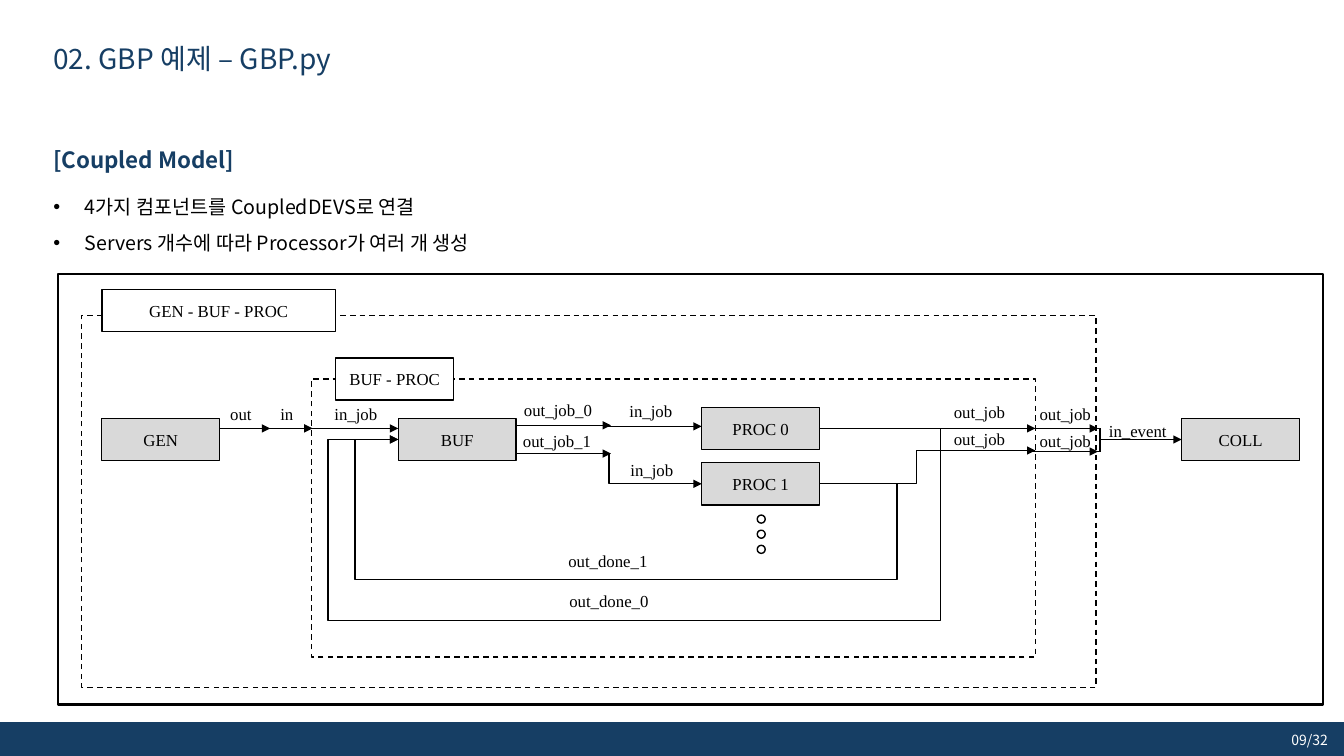
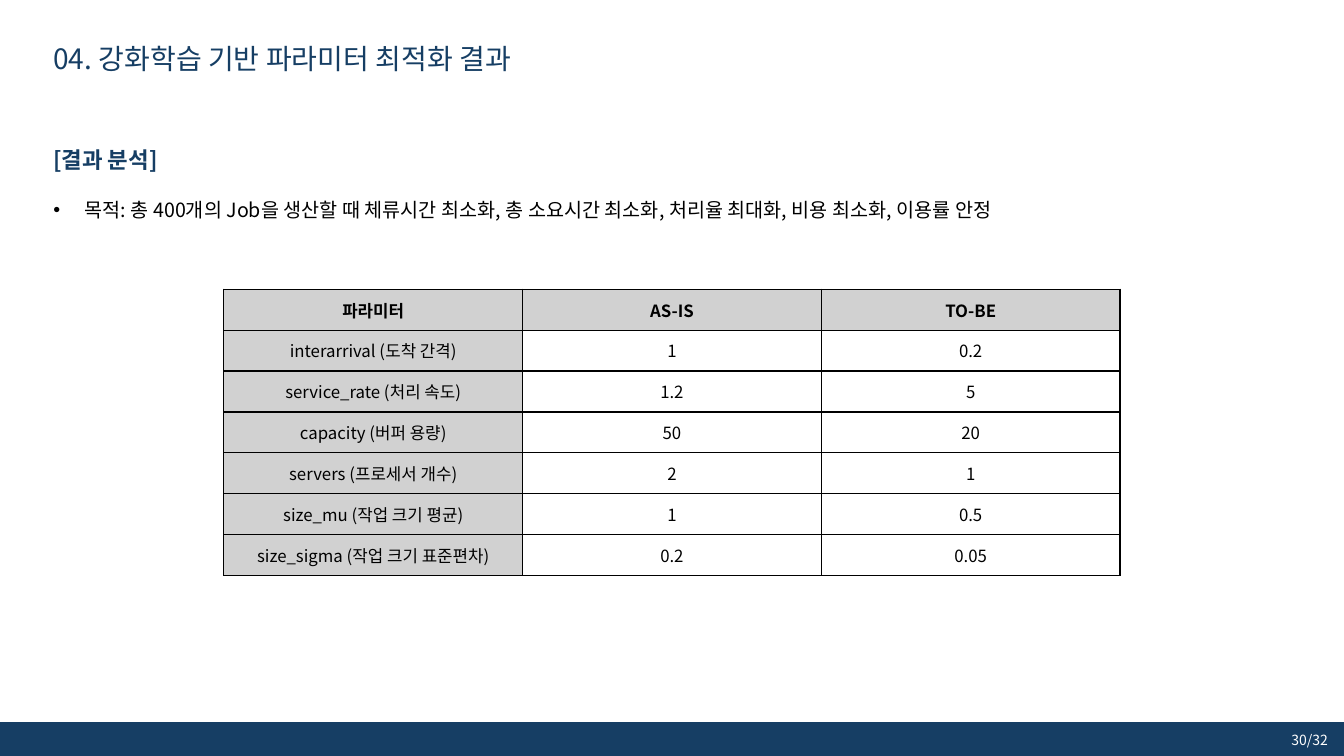
from lxml import etree
from pptx import Presentation
from pptx.dml.color import RGBColor
from pptx.enum.dml import MSO_LINE
from pptx.enum.shapes import MSO_CONNECTOR as Link, MSO_SHAPE as Preset
from pptx.enum.text import MSO_ANCHOR as Anchor, MSO_AUTO_SIZE as AutoSize, PP_ALIGN as Align
from pptx.oxml.ns import qn
from pptx.util import Inches, Pt

COLORS = {"navy": "163E64", "black": "000000", "white": "FFFFFF",
          "node": "D9D9D9", "header": "D1D1D1"}
SANS, SERIF = "Noto Sans CJK KR", "Times New Roman"

# Content: model slide
MODEL = {
    "title": "02. GBP 예제 – GBP.py",
    "heading": "[Coupled Model]",
    "bullets": ["4가지 컴포넌트를 CoupledDEVS로 연결",
                "Servers 개수에 따라 Processor가 여러 개 생성"],
    "bullets_at": (0.43, 1.77, 12.83, 0.77),
    "page": "09/32",
}
NODE_W, NODE_H = 1.17, 0.42
NODES = {"GEN": (1.01, 4.15), "BUF": (3.95, 4.15), "PROC 0": (6.96, 4.04),
         "PROC 1": (6.96, 4.59), "COLL": (11.72, 4.15)}
FRAMES = [  # left, top, width, height, line width, dashed
    (3.09, 3.76, 7.18, 2.76, 1, True),
    (0.81, 3.13, 10.06, 3.69, 1, True),
    (0.58, 2.72, 12.54, 4.27, 1.5, False),
]
FRAME_TAGS = [("BUF - PROC", 3.33, 3.55, NODE_W), ("GEN - BUF - PROC", 1.01, 2.87, 2.32)]
ARROWS = [  # start x, end x, y
    (2.18, 2.68, 4.25), (2.6, 3.1, 4.25), (3.02, 3.95, 4.25),
    (5.12, 6.06, 4.22), (6.03, 6.96, 4.23), (5.12, 6.06, 4.5),
    (10.24, 10.89, 4.25), (10.24, 10.89, 4.48),
]
JOINS = [((10.82, 4.25), (10.91, 4.25)), ((10.82, 4.48), (10.91, 4.48)),
         ((10.91, 4.48), (10.91, 4.25))]
ELBOWS = [  # start, end, then the bends: x or x, y, x
    ((5.12, 4.5), (6.96, 4.8), (6.04,)),
    ((8.13, 4.8), (10.27, 4.47), (9.09,)),
    ((8.13, 4.25), (3.95, 4.36), (9.33, 6.16, 3.25)),
    ((8.13, 4.8), (3.95, 4.36), (8.9, 5.75, 3.52)),
]
PORTS = [  # text, left, top, width
    ("out", 2.18, 3.96, 0.42), ("in", 2.68, 3.96, 0.33), ("in_job", 3.11, 3.96, 0.84),
    ("out_job_0", 5.06, 3.92, 0.95), ("out_job_1", 5.05, 4.22, 0.95),
    ("in_job", 5.98, 3.93, 0.95), ("in_job", 5.99, 4.51, 0.95),
    ("out_done_0", 5.47, 5.81, 1.14), ("out_done_1", 5.46, 5.41, 1.14),
    ("out_job", 9.24, 3.94, 0.95), ("out_job", 9.24, 4.2, 0.95),
    ("out_job", 10.09, 3.96, 0.95), ("out_job", 10.09, 4.22, 0.95),
    ("in_event", 10.81, 4.12, 0.95),
]

# Content: result slide
RESULT = {
    "title": "04. 강화학습 기반 파라미터 최적화 결과",
    "heading": "[결과 분석]",
    "bullets": ["목적: 총 400개의 Job을 생산할 때 체류시간 최소화, 총 소요시간 최소화, "
                "처리율 최대화, 비용 최소화, 이용률 안정"],
    "bullets_at": (0.43, 1.8, 12.83, 0.42),
    "page": "30/32",
}
PARAMETERS = [
    ("파라미터", "AS-IS", "TO-BE"),
    ("interarrival (도착 간격)", "1", "0.2"),
    ("service_rate (처리 속도)", "1.2", "5"),
    ("capacity (버퍼 용량)", "50", "20"),
    ("servers (프로세서 개수)", "2", "1"),
    ("size_mu (작업 크기 평균)", "1", "0.5"),
    ("size_sigma (작업 크기 표준편차)", "0.2", "0.05"),
]


def rgb(name):
    return RGBColor.from_string(COLORS[name])


def inches(values):
    return [Inches(v) for v in values]


def write(paragraph, text, size, color="black", font=SANS, bold=False,
          align=Align.JUSTIFY, spacing=None):
    paragraph.alignment = align
    if spacing:
        paragraph.line_spacing = spacing
    run = paragraph.add_run()
    run.text = text
    run.font.size, run.font.bold, run.font.name = Pt(size), bold, font
    run.font.color.rgb = rgb(color)
    east_asian = etree.SubElement(run.font._element, qn("a:ea"))
    east_asian.set("typeface", font)


def add_text(slide, at, text, size, wrap=True, **style):
    frame = slide.shapes.add_textbox(*inches(at)).text_frame
    frame.word_wrap = wrap
    write(frame.paragraphs[0], text, size, **style)


def place(placeholder, at):
    placeholder.left, placeholder.top, placeholder.width, placeholder.height = inches(at)
    frame = placeholder.text_frame
    frame.auto_size, frame.vertical_anchor, frame.word_wrap = AutoSize.NONE, Anchor.TOP, True
    return frame


def add_box(slide, at, fill=None, line="black", width=1, preset=Preset.RECTANGLE):
    box = slide.shapes.add_shape(preset, *inches(at))
    box.shadow.inherit = False
    if fill:
        box.fill.solid()
        box.fill.fore_color.rgb = rgb(fill)
    else:
        box.fill.background()
    box.line.color.rgb, box.line.width = rgb(line), Pt(width)
    return box


def add_node(slide, text, at, fill):
    node = add_box(slide, at, fill)
    node.text_frame.vertical_anchor = Anchor.MIDDLE
    write(node.text_frame.paragraphs[0], text, 12, font=SERIF, align=Align.CENTER)
    return node


def add_link(slide, start, end, kind=Link.STRAIGHT, arrow=True):
    link = slide.shapes.add_connector(kind, *inches(start + end))
    link.line.color.rgb, link.line.width = rgb("black"), Pt(1)
    if arrow:
        etree.SubElement(link.line._get_or_add_ln(), qn("a:tailEnd")).set("type", "triangle")
    etree.SubElement(link._element.spPr, qn("a:effectLst"))
    return link


def add_elbow(slide, start, end, bends):
    link = add_link(slide, start, end, Link.ELBOW)
    geometry = link._element.spPr.find(qn("a:prstGeom"))
    geometry.set("prst", f"bentConnector{len(bends) + 2}")
    guides = geometry.find(qn("a:avLst"))
    if guides is None:
        guides = etree.SubElement(geometry, qn("a:avLst"))
    for i, bend in enumerate(bends):
        axis = i % 2
        ratio = (bend - start[axis]) / (end[axis] - start[axis])
        guide = etree.SubElement(guides, qn("a:gd"))
        guide.set("name", f"adj{i + 1}")
        guide.set("fmla", f"val {round(ratio * 100000)}")


def add_page(prs, content):
    """Title, heading, bullets, bottom band and page number."""
    slide = prs.slides.add_slide(prs.slide_layouts[1])
    title = place(slide.shapes.title, (0.43, 0.36, 10.6, 0.44))
    write(title.paragraphs[0], content["title"], 20, "navy")
    add_box(slide, (0, 7.17, 13.33, 0.34), "navy", "navy", 1.5)
    add_text(slide, (0.43, 1.27, 12.46, 0.47), content["heading"], 16,
             color="navy", bold=True, spacing=1.5)
    body = place(slide.placeholders[1], content["bullets_at"])
    for i, text in enumerate(content["bullets"]):
        paragraph = body.add_paragraph() if i else body.paragraphs[0]
        props = paragraph._p.get_or_add_pPr()
        props.set("marL", str(Inches(0.31)))
        props.set("indent", str(-Inches(0.31)))
        etree.SubElement(props, qn("a:buFont")).set("typeface", "Arial")
        etree.SubElement(props, qn("a:buChar")).set("char", "•")
        paragraph.space_before = Pt(0)
        write(paragraph, text, 14, spacing=1.5)
    add_text(slide, (12.71, 7.21, 0.63, 0.27), content["page"], 10, color="white")
    return slide


def add_diagram(slide):
    # Components
    nodes = {name: add_node(slide, name, at + (NODE_W, NODE_H), "node")
             for name, at in NODES.items()}
    for i in range(3):
        add_box(slide, (7.51, 5.11 + 0.15 * i, 0.08, 0.08), "white", preset=Preset.OVAL)

    # Couplings
    for x1, x2, y in ARROWS:
        add_link(slide, (x1, y), (x2, y))
    for start, end in JOINS:
        add_link(slide, start, end, arrow=False)
    for elbow in ELBOWS:
        add_elbow(slide, *elbow)
    add_link(slide, (8.13, 4.25), (10.27, 4.25)).begin_connect(nodes["PROC 0"], 3)
    add_link(slide, (10.92, 4.36), (11.72, 4.36)).end_connect(nodes["COLL"], 1)

    # Model boundaries and port names
    for *at, width, dashed in FRAMES:
        frame = add_box(slide, at, width=width)
        if dashed:
            frame.line.dash_style = MSO_LINE.DASH
    for text, left, top, width in FRAME_TAGS:
        add_node(slide, text, (left, top, width, NODE_H), "white")
    for text, left, top, width in PORTS:
        add_text(slide, (left, top, width, 0.3), text, 12, wrap=False,
                 font=SERIF, align=Align.CENTER)


def add_borders(cell):
    props = cell._tc.get_or_add_tcPr()
    for side in ("lnL", "lnR", "lnT", "lnB"):
        border = etree.SubElement(props, qn(f"a:{side}"))
        border.set("w", str(Pt(1)))
        fill = etree.SubElement(border, qn("a:solidFill"))
        etree.SubElement(fill, qn("a:srgbClr")).set("val", COLORS["black"])


def add_parameters(slide):
    table = slide.shapes.add_table(len(PARAMETERS), len(PARAMETERS[0]),
                                   *inches((2.22, 2.87, 8.89, 2.84))).table
    table.first_row = table.horz_banding = False
    for r, row in enumerate(PARAMETERS):
        for c, text in enumerate(row):
            cell = table.cell(r, c)
            add_borders(cell)
            cell.vertical_anchor = Anchor.MIDDLE
            cell.margin_left = cell.margin_right = Inches(0.03)
            cell.margin_top = cell.margin_bottom = Inches(0.02)
            if r == 0 or c == 0:
                cell.fill.solid()
                cell.fill.fore_color.rgb = rgb("header")
            else:
                cell.fill.background()
            write(cell.text_frame.paragraphs[0], text, 12, bold=r == 0, align=Align.CENTER)


def main():
    prs = Presentation()
    prs.slide_width, prs.slide_height = inches((13.33, 7.5))
    add_diagram(add_page(prs, MODEL))
    add_parameters(add_page(prs, RESULT))
    prs.save("out.pptx")


if __name__ == "__main__":
    main()
